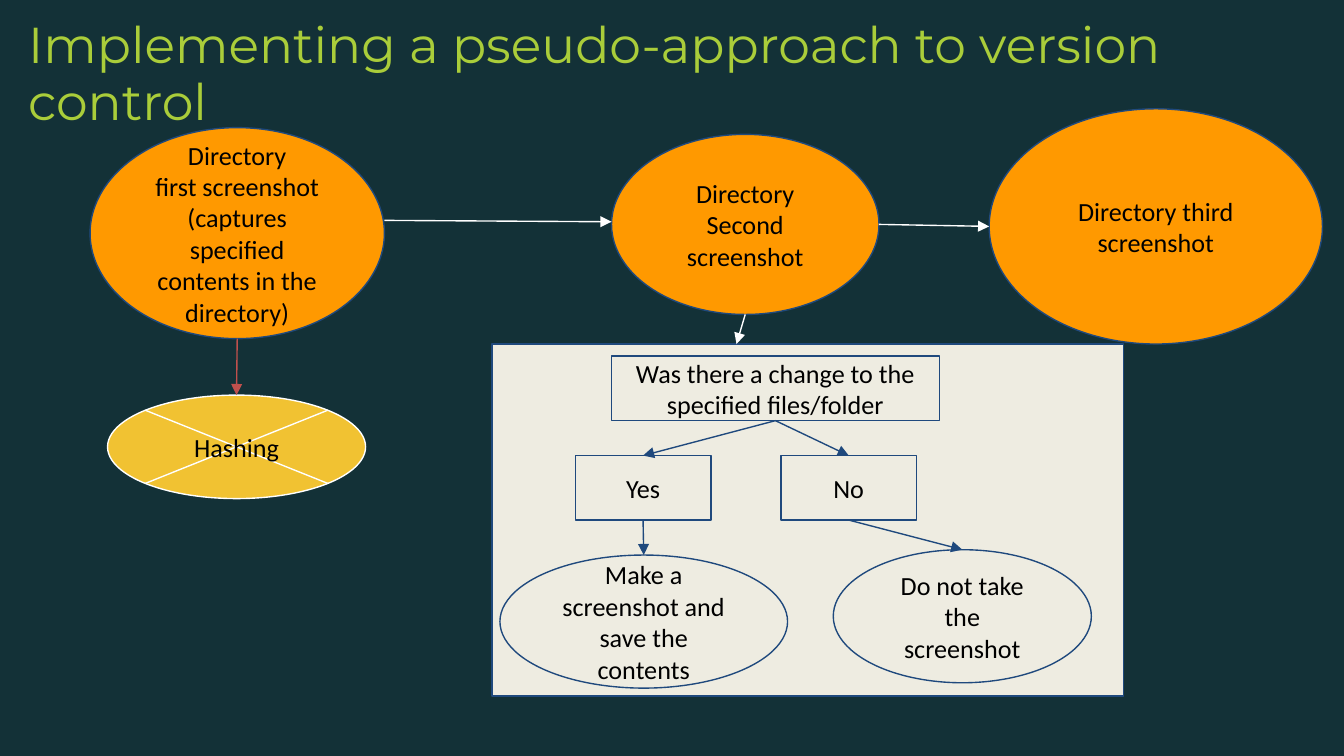
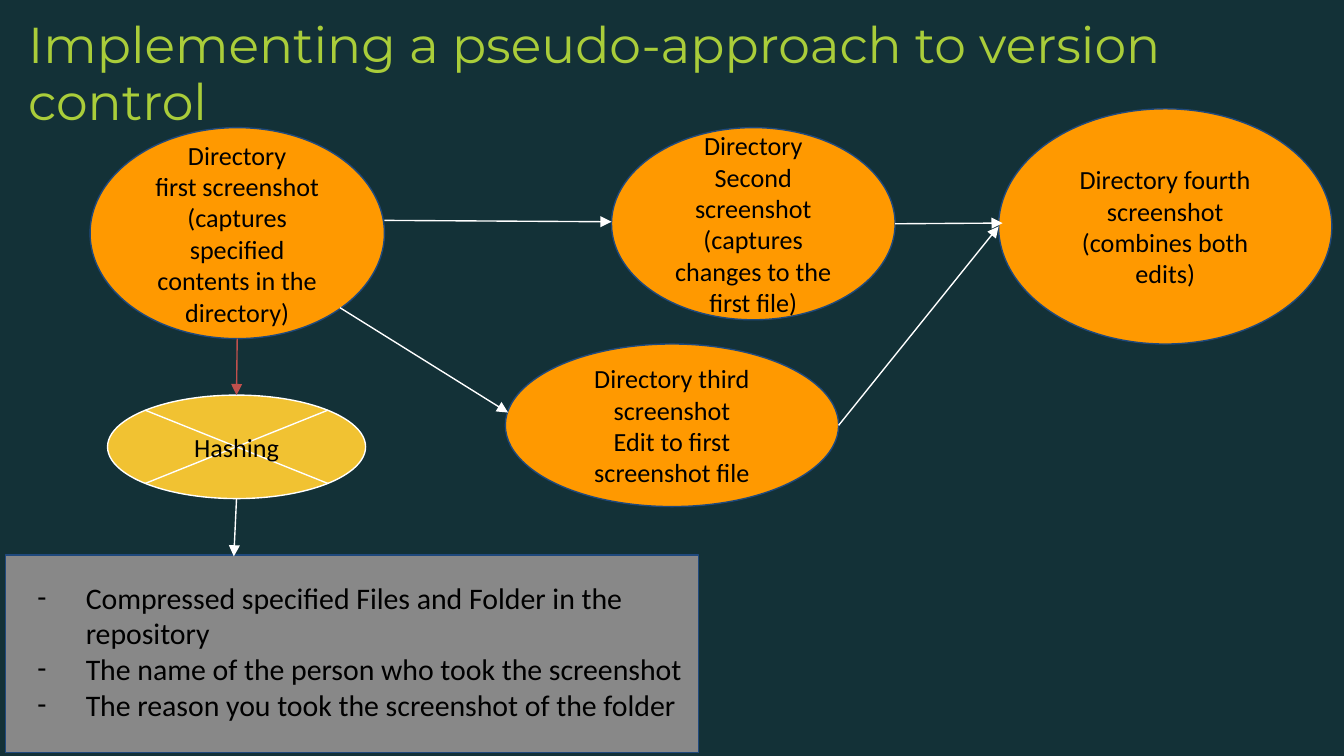
import pptx
import pptx.util
import pptx.dml.color
import pptx.enum.shapes
import pptx.enum.text
import pptx.oxml.ns
from lxml import etree

RGB = pptx.dml.color.RGBColor
FORM = pptx.enum.shapes.MSO_SHAPE
ALIGN = pptx.enum.text.PP_ALIGN
MIDDLE = pptx.enum.text.MSO_ANCHOR.MIDDLE
qn = pptx.oxml.ns.qn
Pt = pptx.util.Pt

DARK = RGB(0x13, 0x31, 0x37)
LIME = RGB(0xAA, 0xCD, 0x3A)
ORANGE = RGB(0xFF, 0x99, 0x00)
GOLD = RGB(0xF1, 0xC2, 0x32)
CREAM = RGB(0xEE, 0xEC, 0xE1)
GREY = RGB(0x88, 0x88, 0x88)
NAVY = RGB(0x1F, 0x49, 0x7D)
RED = RGB(0xC0, 0x50, 0x4D)
WHITE = RGB(0xFF, 0xFF, 0xFF)
BLACK = RGB(0, 0, 0)

# Square grid cells, 100 across the slide
COLS, ROWS = 100, 56.25
CELL = pptx.util.Inches(10) // COLS
TOP, LEFT, BOTTOM, RIGHT = range(4)

# Style: form, fill, line
STYLES = {
    "shot": (FORM.OVAL, ORANGE, NAVY),
    "hash": (FORM.FLOWCHART_SUMMING_JUNCTION, GOLD, WHITE),
    "step": (FORM.RECTANGLE, CREAM, NAVY),
    "end": (FORM.OVAL, CREAM, NAVY),
    "panel": (FORM.RECTANGLE, GREY, NAVY),
}

TITLE = "Implementing a pseudo-approach to version control"
TITLE_BOX = (2.1, 1.3, 95.7, 8.6)

# Node: style, text, (left, top, width, height)
FIRST = {
    "first": ("shot", "Directory\nfirst screenshot (captures specified "
              "contents in the directory)", (6.7, 9.5, 21.9, 15.7)),
    "hash": ("hash", "Hashing", (8, 29.4, 19.2, 7.7)),
}
# Link: from, to, colour; an end is (node, side) or a grid point
FIRST_LINKS = [
    ((28.6, 16.4), (45.5, 16.5), WHITE),
    (("first", BOTTOM), ("hash", TOP), RED),
]

ANSWER_X, ANSWER_GAP, ANSWER_Y = 42.8, 15.3, 33.9
ANSWERS = {
    word: ("step", word, (ANSWER_X + i * ANSWER_GAP, ANSWER_Y, 10.1, 4.8))
    for i, word in enumerate(("Yes", "No"))
}

SLIDES = [
    {
        "nodes": {
            **FIRST,
            "second": ("shot", "Directory Second screenshot",
                       (45.5, 10, 19.9, 13.4)),
            "third": ("shot", "Directory third screenshot",
                      (73.6, 8.1, 24.8, 17.5)),
            "check": ("step", "", (36.6, 25.6, 47, 26.2)),
            "ask": ("step", "Was there a change to the specified "
                    "files/folder", (45.5, 26.5, 24.4, 4.8)),
            **ANSWERS,
            "make": ("end", "Make a screenshot and save the contents",
                     (37.2, 41.3, 21.4, 9.9)),
            "skip": ("end", "Do not take the screenshot",
                     (62, 40.9, 19.2, 9.9)),
        },
        "links": FIRST_LINKS + [
            (("second", RIGHT), ("third", LEFT), WHITE),
            (("second", BOTTOM), (54.8, 25.6), WHITE),
            (("ask", BOTTOM), ("Yes", TOP), NAVY),
            (("ask", BOTTOM), ("No", TOP), NAVY),
            (("Yes", BOTTOM), ("make", TOP), NAVY),
            (("No", BOTTOM), ("skip", TOP), NAVY),
        ],
    },
    {
        "nodes": {
            **FIRST,
            "second": ("shot", "Directory Second screenshot\n"
                       "(captures changes to the first file)",
                       (45.5, 9.5, 21.1, 14.3)),
            "fourth": ("shot", "Directory fourth screenshot "
                       "(combines both edits)", (74.3, 8.1, 24.8, 17.5)),
            "third": ("shot", "Directory third screenshot\n"
                      "Edit to first screenshot file",
                      (37.6, 25.6, 24.8, 12.1)),
            "panel": ("panel", "", (0.4, 41.3, 51.6, 14.7)),
        },
        "links": FIRST_LINKS + [
            (("second", RIGHT), (74.6, 16.6), WHITE),
            (("hash", BOTTOM), (17.4, 41.4), WHITE),
            ((25.3, 22.9), (37.8, 30.7), WHITE),
            (("third", RIGHT), ("fourth", LEFT), WHITE),
        ],
        "list": [
            "Compressed specified Files and Folder in the repository",
            "The name of the person who took the screenshot",
            "The reason you took the screenshot of the folder",
        ],
    },
]
LIST_BOX = (0.4, 42.1, 51.6, 12.7)


def grid(*cells):
    return [round(n * CELL) for n in cells]


def write(frame, text, size, color=BLACK, face="Calibri", pad=1, align=None):
    frame.word_wrap = True
    frame.margin_left = frame.margin_right = round(pad * CELL)
    frame.margin_top = frame.margin_bottom = round(pad * CELL)
    frame.text = text
    for para in frame.paragraphs:
        para.alignment = align
        for run in para.runs:
            run.font.size = Pt(size)
            run.font.name = face
            run.font.color.rgb = color


def add_node(slide, style, text, box):
    form, fill, line = STYLES[style]
    shape = slide.shapes.add_shape(form, *grid(*box))
    shape.shadow.inherit = False
    shape.fill.solid()
    shape.fill.fore_color.rgb = fill
    shape.line.color.rgb = line
    shape.line.width = Pt(0.75)
    if text:
        write(shape.text_frame, text, 14, align=ALIGN.CENTER)
        shape.text_frame.vertical_anchor = MIDDLE
    return shape


def locate(end, nodes):
    """Grid point of a link's end."""
    if end[0] not in nodes:
        return end
    name, side = end
    x, y, w, h = nodes[name][2]
    return {TOP: (x + w / 2, y), LEFT: (x, y + h / 2),
            BOTTOM: (x + w / 2, y + h), RIGHT: (x + w, y + h / 2)}[side]


def add_link(slide, start, end, color, nodes, shapes):
    points = grid(*locate(start, nodes), *locate(end, nodes))
    link = slide.shapes.add_connector(
        pptx.enum.shapes.MSO_CONNECTOR.STRAIGHT, *points)
    link.line.color.rgb = color
    link.line.width = Pt(0.75)
    etree.SubElement(link.line._get_or_add_ln(), qn("a:tailEnd"),
                     type="triangle")
    etree.SubElement(link._element.spPr, qn("a:effectLst"))
    for spot, join in ((start, link.begin_connect), (end, link.end_connect)):
        name, side = spot
        if name in nodes and STYLES[nodes[name][0]][0] == FORM.RECTANGLE:
            join(shapes[name], side)


def add_title(slide):
    frame = slide.shapes.add_textbox(*grid(*TITLE_BOX)).text_frame
    write(frame, TITLE, 27, LIME, "Montserrat", 0)
    frame.paragraphs[0].line_spacing = 0.95


def add_list(slide, items):
    frame = slide.shapes.add_textbox(*grid(*LIST_BOX)).text_frame
    write(frame, "\n".join(items), 16)
    for para in frame.paragraphs:
        props = para._p.get_or_add_pPr()
        indent, hang = grid(5, -3.6)
        props.set("marL", str(indent))
        props.set("indent", str(hang))
        tint = etree.SubElement(props, qn("a:buClr"))
        etree.SubElement(tint, qn("a:srgbClr"), val=str(BLACK))
        etree.SubElement(props, qn("a:buFont"), typeface="Calibri")
        etree.SubElement(props, qn("a:buChar"), char="-")


def main():
    deck = pptx.Presentation()
    deck.slide_width, deck.slide_height = grid(COLS, ROWS)
    for page in SLIDES:
        slide = deck.slides.add_slide(deck.slide_layouts[6])
        slide.background.fill.solid()
        slide.background.fill.fore_color.rgb = DARK
        add_title(slide)
        nodes = page["nodes"]
        shapes = {name: add_node(slide, *node)
                  for name, node in nodes.items()}
        for start, end, color in page["links"]:
            add_link(slide, start, end, color, nodes, shapes)
        if "list" in page:
            add_list(slide, page["list"])
    deck.save("out.pptx")


if __name__ == "__main__":
    main()
